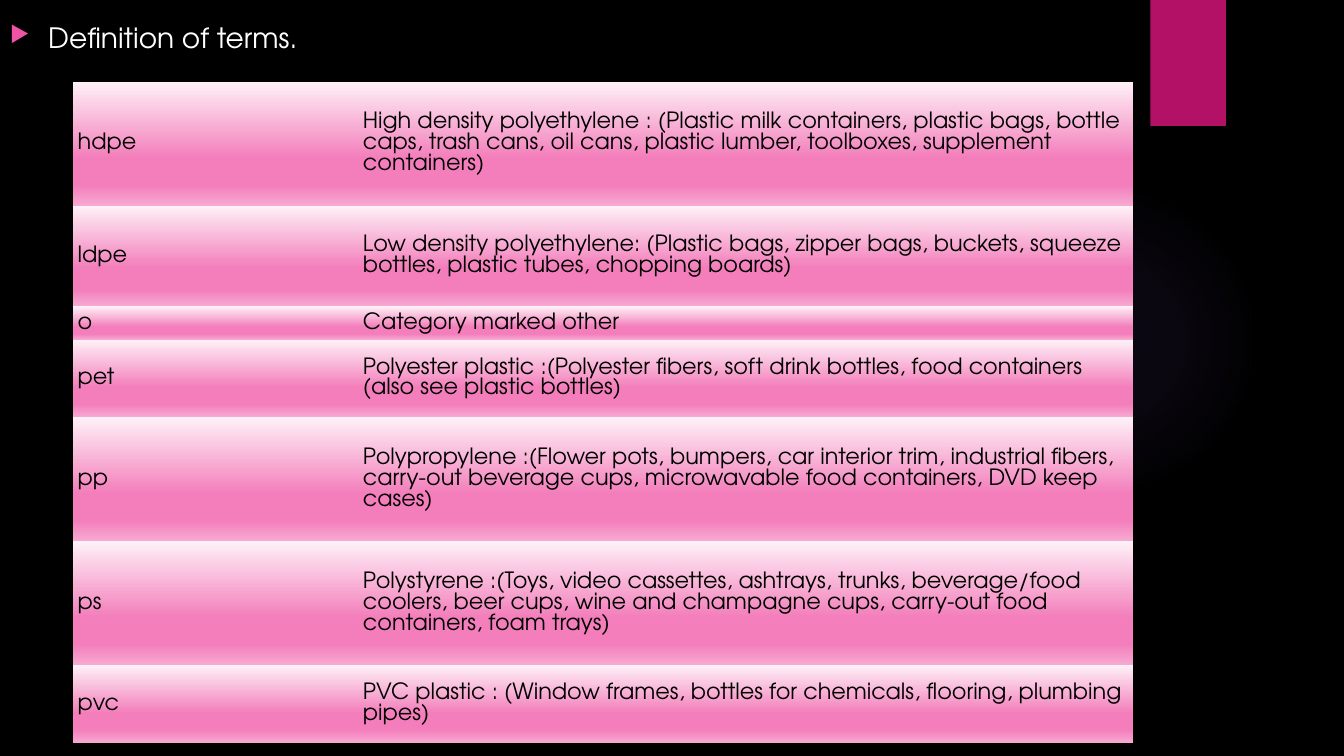
import pptx
import pptx.dml.color
import pptx.enum.shapes
import pptx.enum.text
import pptx.oxml
import pptx.oxml.ns
import pptx.util

Inches = pptx.util.Inches
Pt = pptx.util.Pt
RGB = pptx.dml.color.RGBColor
SHAPE = pptx.enum.shapes.MSO_SHAPE
ANCHOR = pptx.enum.text.MSO_ANCHOR
qn = pptx.oxml.ns.qn
NS = pptx.oxml.ns.nsdecls("a")

BLACK = RGB(0x00, 0x00, 0x00)
WHITE = RGB(0xFF, 0xFF, 0xFF)
CRIMSON = RGB(0xB3, 0x11, 0x66)
PINK = RGB(0xEF, 0x53, 0xA5)
VIOLET = RGB(0x9B, 0x6B, 0xF2)
BLUSH = RGB(0xFE, 0xF1, 0xF7)
ROSE = RGB(0xF3, 0x7E, 0xBB)
PETAL = RGB(0xF7, 0xA9, 0xD2)

# Stops: position %, colour, opacity %
GLOW = [(0, VIOLET, 7), (36, VIOLET, 6), (69, VIOLET, 0)]
SHEEN = [(0, BLUSH, 100), (62, ROSE, 100), (83, ROSE, 100), (100, PETAL, 100)]
DOWN = '<a:lin ang="5400000" scaled="0"/>'
ROUND = ('<a:path path="circle">'
         '<a:fillToRect l="50000" t="50000" r="50000" b="50000"/></a:path>')
PLAIN = "{2D5ABB26-0587-4C30-8999-92F81FD0307C}"

TERMS = [
    ("hdpe", "High density polyethylene : (Plastic milk containers, plastic bags, "
     "bottle caps, trash cans, oil cans, plastic lumber, toolboxes, supplement containers)"),
    ("ldpe", "Low density polyethylene: (Plastic bags, zipper bags, buckets, "
     "squeeze bottles, plastic tubes, chopping boards)"),
    ("o", "Category marked other"),
    ("pet", "Polyester plastic :(Polyester fibers, soft drink bottles, "
     "food containers (also see plastic bottles)"),
    ("pp", "Polypropylene :(Flower pots, bumpers, car interior trim, industrial fibers, "
     "carry-out beverage cups, microwavable food containers, DVD keep cases)"),
    ("ps", "Polystyrene :(Toys, video cassettes, ashtrays, trunks, beverage/food coolers, "
     "beer cups, wine and champagne cups, carry-out food containers, foam trays)"),
    ("pvc", "PVC plastic : (Window frames, bottles for chemicals, flooring, plumbing pipes)"),
]
COLS = [2.83, 7.69]
ROWS = [1.23, 1, 0.33, 0.77, 1.23, 1.23, 0.77]


class Deck:
    def __init__(self, font):
        self.font = font
        self.show = pptx.Presentation()
        self.show.slide_width = Inches(13.33)
        self.show.slide_height = Inches(7.5)
        self.slide = self.show.slides.add_slide(self.show.slide_layouts[6])
        back = self.slide.background.fill
        back.solid()
        back.fore_color.rgb = BLACK

    def blend(self, fill, props, stops, course):
        """Fill with a gradient of any number of stops."""
        fill.solid()
        marks = "".join(
            f'<a:gs pos="{pos * 1000}"><a:srgbClr val="{tint}">'
            f'<a:alpha val="{alpha * 1000}"/></a:srgbClr></a:gs>'
            for pos, tint, alpha in stops)
        grad = pptx.oxml.parse_xml(
            f'<a:gradFill {NS} rotWithShape="1"><a:gsLst>{marks}</a:gsLst>{course}</a:gradFill>')
        props.replace(props.find(qn("a:solidFill")), grad)

    def shape(self, kind, box, tint=None, stops=None):
        item = self.slide.shapes.add_shape(kind, *map(Inches, box))
        item.shadow.inherit = False
        item.line.fill.background()
        if stops:
            self.blend(item.fill, item.element.spPr, stops, ROUND)
        else:
            item.fill.solid()
            item.fill.fore_color.rgb = tint

    def text(self, para, words, size, tint):
        run = para.add_run()
        run.text = words
        run.font.name = self.font
        run.font.size = Pt(size)
        run.font.color.rgb = tint

    def bullet(self, box, words):
        frame = self.slide.shapes.add_textbox(*map(Inches, box)).text_frame
        frame.word_wrap = True
        para = frame.paragraphs[0]
        props = para._p.get_or_add_pPr()
        props.set("marL", str(Inches(0.38)))
        props.set("indent", str(Inches(-0.38)))
        for tag in (f'<a:buClr {NS}><a:srgbClr val="{PINK}"/></a:buClr>',
                    f'<a:buSzPct {NS} val="80000"/>',
                    f'<a:buChar {NS} char="▶"/>'):
            props.append(pptx.oxml.parse_xml(tag))
        self.text(para, words, 20, WHITE)

    def table(self, left, top, cols, rows, data):
        box = map(Inches, (left, top, sum(cols), sum(rows)))
        frame = self.slide.shapes.add_table(len(rows), len(cols), *box)
        grid = frame.table
        grid.first_row = grid.horz_banding = False
        grid._tbl.tblPr.find(qn("a:tableStyleId")).text = PLAIN
        for col, width in zip(grid.columns, cols):
            col.width = Inches(width)
        for row, height, line in zip(grid.rows, rows, data):
            row.height = Inches(height)
            for cell, words in zip(row.cells, line):
                self.cell(cell, words)

    def cell(self, cell, words):
        cell.margin_left = cell.margin_right = Inches(0.05)
        cell.margin_top = cell.margin_bottom = Inches(0.03)
        cell.vertical_anchor = ANCHOR.MIDDLE
        self.blend(cell.fill, cell._tc.tcPr, SHEEN, DOWN)
        self.text(cell.text_frame.paragraphs[0], words, 16, BLACK)


def main():
    deck = Deck("TeX Gyre Adventor")
    deck.shape(SHAPE.OVAL, (9.41, 1.83, 3.08, 3.08), stops=GLOW)
    deck.shape(SHAPE.RECTANGLE, (11.41, 0, 0.75, 1.25), tint=CRIMSON)
    deck.bullet((0, 0.15, 11.36, 7.35), "Definition of terms.")
    deck.table(0.72, 0.81, COLS, ROWS, TERMS)
    deck.show.save("out.pptx")


if __name__ == "__main__":
    main()
